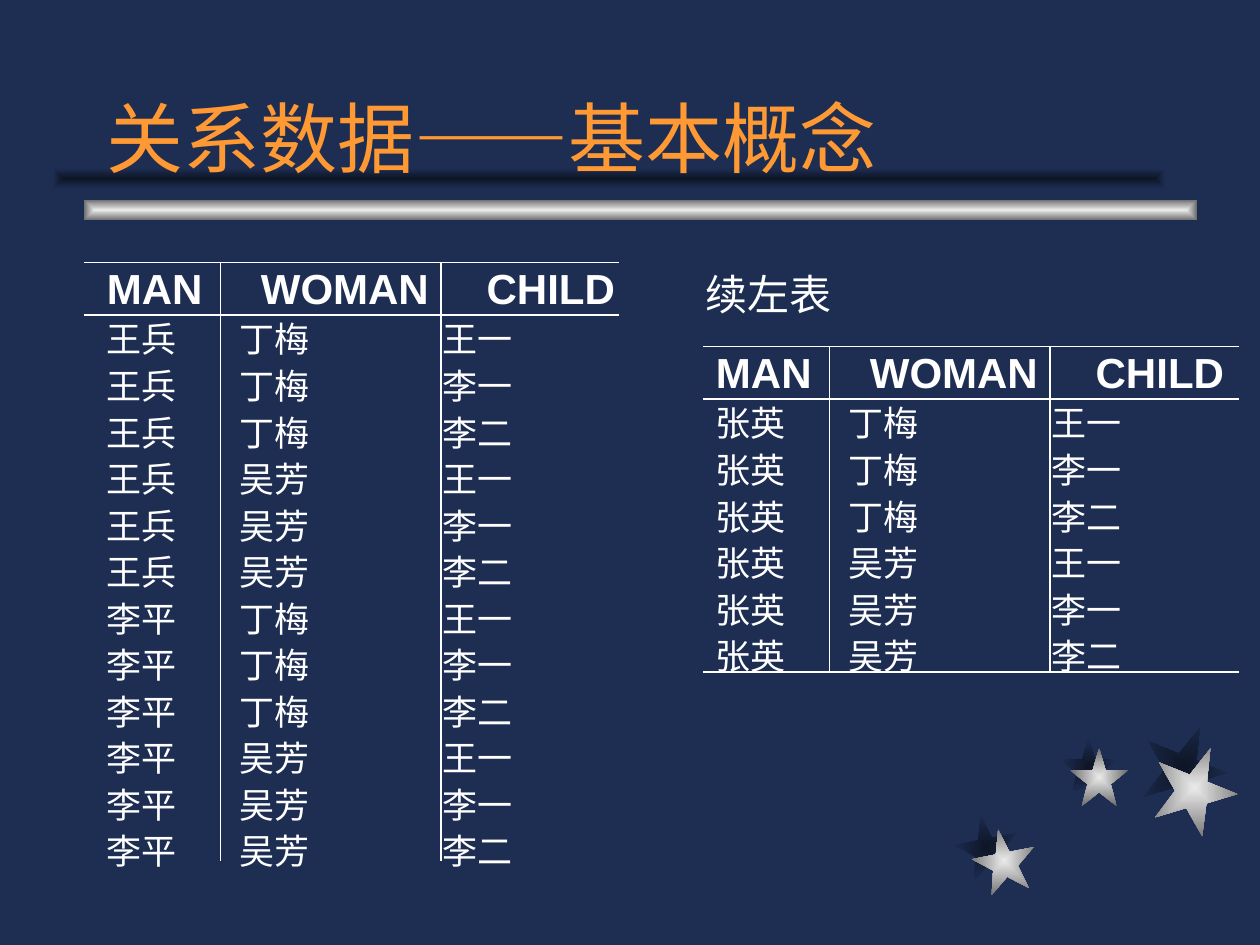
from dataclasses import dataclass
from itertools import product

from lxml.etree import SubElement
from pptx import Presentation
from pptx.dml.color import RGBColor
from pptx.enum.shapes import MSO_CONNECTOR, MSO_SHAPE
from pptx.enum.text import MSO_ANCHOR
from pptx.oxml import parse_xml
from pptx.oxml.ns import nsdecls, qn
from pptx.util import Pt


@dataclass(frozen=True)
class Theme:
    background: str = "1E2E53"
    accent: str = "FF9933"
    text: str = "FFFFFF"
    silver: tuple = ("EAEAEA", "6C6C6C")
    shade: tuple = ("0E1526", "1E2E53")
    title_size: int = 44
    heading_size: int = 24
    body_size: int = 20
    title_font: str = "Times New Roman"
    table_font: str = "Arial"


STAR_POINTS = [
    (0, 38), (39, 38), (50, 0), (61, 38), (100, 38),
    (70, 62), (80, 100), (50, 76), (20, 100), (30, 62),
]


class SlideBuilder:
    def __init__(self, slide, theme):
        self.slide = slide
        self.theme = theme
        fill = slide.background.fill
        fill.solid()
        fill.fore_color.rgb = RGBColor.from_string(theme.background)

    def glow(self, shape, colors):
        shape.shadow.inherit = False
        shape.line.fill.background()
        inner, outer = colors
        gradient = parse_xml(
            f'<a:gradFill {nsdecls("a")} rotWithShape="1"><a:gsLst>'
            f'<a:gs pos="0"><a:srgbClr val="{inner}"/></a:gs>'
            f'<a:gs pos="100000"><a:srgbClr val="{outer}"/></a:gs></a:gsLst>'
            '<a:path path="rect"><a:fillToRect l="50000" t="50000" r="50000" b="50000"/>'
            '</a:path></a:gradFill>'
        )
        shape.element.spPr.find(qn("a:ln")).addprevious(gradient)

    def star(self, left, top, size, rotation, colors):
        builder = self.slide.shapes.build_freeform(*STAR_POINTS[0], scale=Pt(size) / 100)
        builder.add_line_segments(STAR_POINTS[1:], close=True)
        shape = builder.convert_to_shape(Pt(left), Pt(top))
        shape.rotation = rotation
        self.glow(shape, colors)

    def bar(self, left, top, width, height, colors):
        shape = self.slide.shapes.add_shape(
            MSO_SHAPE.RECTANGLE, Pt(left), Pt(top), Pt(width), Pt(height)
        )
        self.glow(shape, colors)

    def line(self, x1, y1, x2, y2):
        connector = self.slide.shapes.add_connector(
            MSO_CONNECTOR.STRAIGHT, Pt(x1), Pt(y1), Pt(x2), Pt(y2)
        )
        connector.line.width = Pt(1)
        connector.line.color.rgb = RGBColor.from_string(self.theme.text)
        SubElement(connector.element.spPr, qn("a:effectLst"))

    def text_box(self, left, top, width, height, anchor=MSO_ANCHOR.TOP):
        shape = self.slide.shapes.add_textbox(Pt(left), Pt(top), Pt(width), Pt(height))
        frame = shape.text_frame
        frame.word_wrap = True
        frame.vertical_anchor = anchor
        return frame

    def fill_paragraph(self, paragraph, text, color, font_format, spacing, tabs=()):
        run = paragraph.add_run()
        run.text = text
        run.font.color.rgb = RGBColor.from_string(color)
        for target, values in ((paragraph, spacing), (run.font, font_format)):
            for name, value in values.items():
                setattr(target, name, value)
        if tabs:
            tab_list = SubElement(paragraph._p.get_or_add_pPr(), qn("a:tabLst"))
            for position in tabs:
                SubElement(tab_list, qn("a:tab"), pos=str(Pt(position)), algn="l")

    def label(self, text, box, size, color, anchor=MSO_ANCHOR.TOP, space_before=0):
        frame = self.text_box(*box, anchor)
        self.fill_paragraph(
            frame.paragraphs[0], text, color,
            {"name": self.theme.title_font, "size": Pt(size)},
            {"space_before": Pt(space_before)},
        )

    def relation(self, box, rows):
        theme = self.theme
        frame = self.text_box(*box)
        for index, row in enumerate([("MAN", "WOMAN", "CHILD"), *rows]):
            heading = index == 0
            paragraph = frame.paragraphs[0] if heading else frame.add_paragraph()
            size = theme.heading_size if heading else theme.body_size
            self.fill_paragraph(
                paragraph, "\t".join(row), theme.text,
                {"name": theme.table_font, "size": Pt(size), "bold": heading},
                {"line_spacing": 0.9, "space_before": Pt(6 if heading else 5)},
                (88, 217) if heading else (75.5, 191.5),
            )

    def rules(self, left, top, bottom, dividers, closed=False):
        for y in (top, top + 30, *([bottom] if closed else [])):
            self.line(left, y, left + 306, y)
        for x in dividers:
            self.line(x, top, x, bottom)


def main():
    presentation = Presentation()
    presentation.slide_width, presentation.slide_height = Pt(720), Pt(540)
    slide = presentation.slides.add_slide(presentation.slide_layouts[6])
    theme = Theme()
    builder = SlideBuilder(slide, theme)

    stars = [
        (545.8, 465.8, 36, 349, 10, 8),
        (605.5, 421.2, 33.2, 0, 6, 6.3),
        (652.5, 414, 48.2, 22, 6, 12),
    ]
    for left, top, size, rotation, dx, dy in stars:
        builder.star(left, top, size, rotation, theme.shade)
    for left, top, size, rotation, dx, dy in stars:
        builder.star(left + dx, top + dy, size, rotation, theme.silver)
    builder.bar(48, 114, 636, 12, theme.silver)
    builder.bar(30, 96, 636, 12, theme.shade)

    builder.label(
        "关系数据——基本概念", (54, 18, 612, 90),
        theme.title_size, theme.accent, MSO_ANCHOR.BOTTOM,
    )
    women, children = ("丁梅", "吴芳"), ("王一", "李一", "李二")
    builder.relation((54, 150, 306, 366), product(("王兵", "李平"), women, children))
    builder.relation((402, 198, 306, 210), product(("张英",), women, children))
    builder.rules(48, 150, 492, (126, 252))
    builder.rules(402, 198, 384, (474, 600), closed=True)
    builder.label(
        "续左表", (396, 150, 288, 36), theme.heading_size, theme.text, space_before=15
    )
    presentation.save("out.pptx")


if __name__ == "__main__":
    main()
